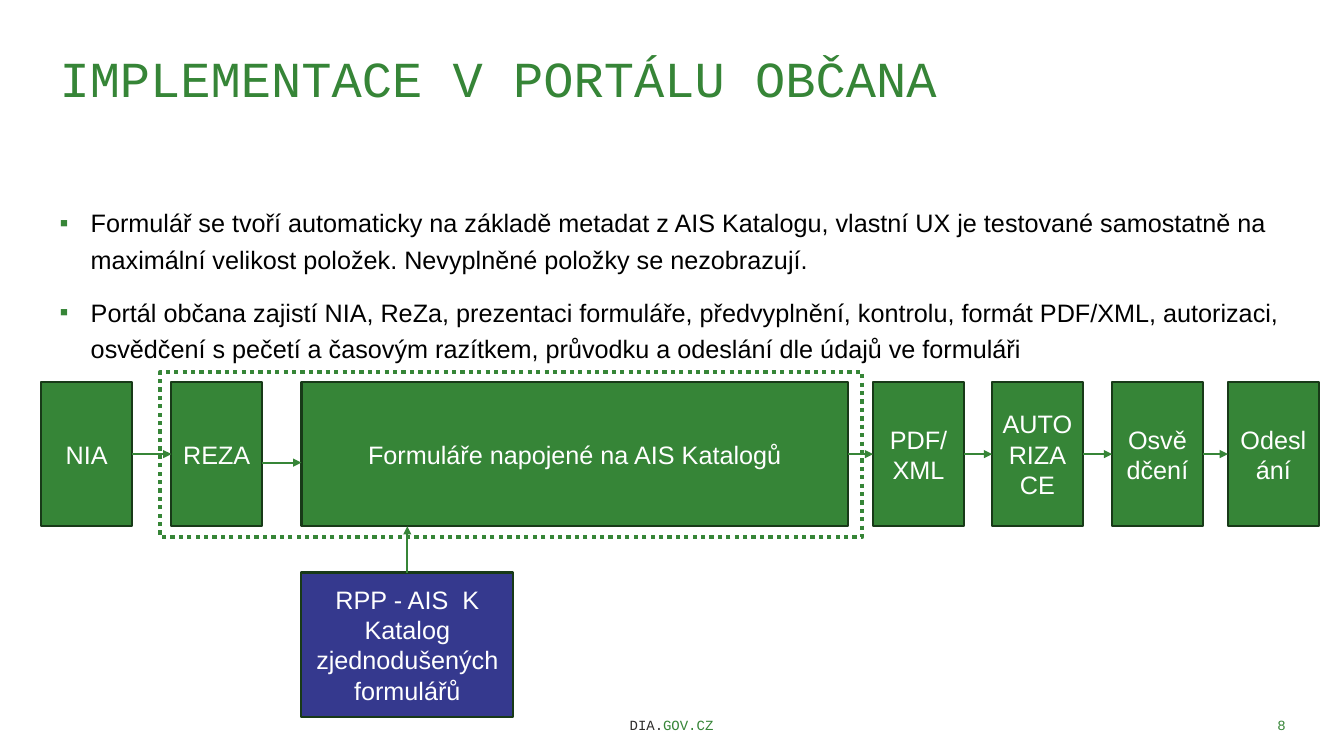
"""Builds the slide on the form process in the citizen portal."""
from itertools import pairwise

from lxml.etree import SubElement
from pptx import Presentation
from pptx.dml.color import RGBColor
from pptx.enum.dml import MSO_LINE
from pptx.enum.shapes import MSO_CONNECTOR, MSO_SHAPE
from pptx.enum.text import MSO_ANCHOR, MSO_AUTO_SIZE, PP_ALIGN
from pptx.oxml.ns import qn
from pptx.util import Inches, Pt

GREEN, DARK_GREEN, BLUE = "368537", "183A18", "35398E"
WHITE, BLACK, CHARCOAL = "FFFFFF", "000000", "2E2C2B"
SANS, MONO = "Arial", "Courier New"
STEP_TOP, STEP_WIDTH, STEP_HEIGHT = 3.79, 0.9, 1.43
RIGHT_SITE, LEFT_SITE = 3, 1

STEPS = [
    ("NIA", 0.41, STEP_WIDTH),
    ("REZA", 1.7, STEP_WIDTH),
    ("Formuláře napojené na AIS Katalogů", 2.99, 5.42),
    ("PDF/XML", 8.66, STEP_WIDTH),
    ("AUTORIZACE", 9.84, STEP_WIDTH),
    ("Osvědčení", 11.03, STEP_WIDTH),
    ("Odeslání", 12.18, STEP_WIDTH),
]
POINTS = [
    "Formulář se tvoří automaticky na základě metadat z AIS Katalogu, vlastní UX je "
    "testované samostatně na maximální velikost položek. Nevyplněné položky se nezobrazují.",
    "Portál občana zajistí NIA, ReZa, prezentaci formuláře, předvyplnění, kontrolu, formát "
    "PDF/XML, autorizaci, osvědčení s pečetí a časovým razítkem, průvodku a odeslání dle "
    "údajů ve formuláři",
]


def rgb(value):
    return RGBColor.from_string(value)


def apply(target, formats):
    for name, value in formats.items():
        setattr(target, name, value)


def style_font(font, size, face, color):
    apply(font, {"size": Pt(size), "name": face})
    font.color.rgb = rgb(color)


def place(placeholder, left, top, width, height):
    apply(placeholder, {"left": Inches(left), "top": Inches(top),
                        "width": Inches(width), "height": Inches(height)})
    frame = placeholder.text_frame
    apply(frame, {"margin_left": 0, "margin_top": 0, "margin_right": 0, "margin_bottom": 0,
                  "word_wrap": True, "auto_size": MSO_AUTO_SIZE.NONE,
                  "vertical_anchor": MSO_ANCHOR.TOP})
    return frame


def add_title(slide, text):
    frame = place(slide.shapes.title, 0.59, 0.47, 12.15, 1.42)
    frame.text = text
    heading = frame.paragraphs[0]
    heading.alignment = PP_ALIGN.LEFT
    style_font(heading.runs[0].font, 36, MONO, GREEN)


def add_bullet(paragraph):
    properties = paragraph._p.get_or_add_pPr()
    apply_indent = {"marL": Inches(0.31), "indent": -Inches(0.31)}
    for name, value in apply_indent.items():
        properties.set(name, str(value))
    color = SubElement(properties, qn("a:buClr"))
    SubElement(color, qn("a:srgbClr"), val=GREEN)
    SubElement(properties, qn("a:buFont"), typeface=SANS)
    SubElement(properties, qn("a:buChar"), char="▪")


def add_points(slide, points):
    frame = place(slide.placeholders[1], 0.59, 2, 12.15, 1.74)
    frame.text = "\n".join(points)
    for index, point in enumerate(frame.paragraphs):
        add_bullet(point)
        apply(point, {"line_spacing": 1.2, "space_before": Pt(8 if index else 0),
                      "space_after": Pt(4)})
        style_font(point.runs[0].font, 18, SANS, BLACK)


def add_footer(slide, left, width, alignment, parts):
    footer = slide.shapes.add_textbox(Inches(left), Inches(6.92), Inches(width), Inches(0.4))
    apply(footer.text_frame, {"word_wrap": True, "vertical_anchor": MSO_ANCHOR.BOTTOM})
    line = footer.text_frame.paragraphs[0]
    line.alignment = alignment
    for text, color in parts:
        run = line.add_run()
        run.text = text
        style_font(run.font, 10, MONO, color)


def add_rectangle(slide, left, top, width, height, line_color, line_width):
    rectangle = slide.shapes.add_shape(MSO_SHAPE.RECTANGLE, Inches(left), Inches(top),
                                       Inches(width), Inches(height))
    rectangle.shadow.inherit = False
    rectangle.line.color.rgb = rgb(line_color)
    rectangle.line.width = Pt(line_width)
    return rectangle


def add_box(slide, text, left, top, width, fill):
    box = add_rectangle(slide, left, top, width, STEP_HEIGHT, DARK_GREEN, 1.5)
    box.fill.solid()
    box.fill.fore_color.rgb = rgb(fill)
    frame = box.text_frame
    frame.text = text
    apply(frame, {"word_wrap": True, "vertical_anchor": MSO_ANCHOR.MIDDLE})
    for paragraph in frame.paragraphs:
        paragraph.alignment = PP_ALIGN.CENTER
        style_font(paragraph.runs[0].font, 18, SANS, WHITE)
    return box


def add_frame(slide, left, top, width, height):
    frame = add_rectangle(slide, left, top, width, height, GREEN, 3)
    frame.fill.background()
    frame.line.dash_style = MSO_LINE.ROUND_DOT


def add_arrow(slide, start=(0, 0), end=(0, 0)):
    arrow = slide.shapes.add_connector(MSO_CONNECTOR.STRAIGHT,
                                       *map(Inches, start), *map(Inches, end))
    arrow.line.color.rgb = rgb(GREEN)
    arrow.line.width = Pt(1.5)
    SubElement(arrow.line._get_or_add_ln(), qn("a:tailEnd"), type="triangle")
    SubElement(arrow._element.spPr, qn("a:effectLst"))
    return arrow


def add_process(slide):
    boxes = [add_box(slide, text, left, STEP_TOP, width, GREEN) for text, left, width in STEPS]
    reza, forms = boxes[1:3]
    for source, target in pairwise(boxes):
        if source is reza:
            add_arrow(slide, (2.6, 4.59), (2.99, 4.59))
        else:
            arrow = add_arrow(slide)
            arrow.begin_connect(source, RIGHT_SITE)
            arrow.end_connect(target, LEFT_SITE)
    add_frame(slide, 1.59, 3.69, 6.96, 1.64)
    add_box(slide, "RPP - AIS  K\nKatalog zjednodušených formulářů", 2.99, 5.68, 2.1, BLUE)
    add_arrow(slide, (4.04, 5.68), (4.04, STEP_TOP + STEP_HEIGHT))


def main():
    presentation = Presentation()
    apply(presentation, {"slide_width": Inches(13.33), "slide_height": Inches(7.5)})
    slide = presentation.slides.add_slide(presentation.slide_layouts[1])
    add_title(slide, "IMPLEMENTACE V PORTÁLU OBČANA")
    add_points(slide, POINTS)
    add_footer(slide, 3.72, 5.88, PP_ALIGN.CENTER, [("DIA.", CHARCOAL), ("GOV.CZ", GREEN)])
    add_footer(slide, 10.75, 2.1, PP_ALIGN.RIGHT, [("8", GREEN)])
    add_process(slide)
    presentation.save("out.pptx")


if __name__ == "__main__":
    main()
